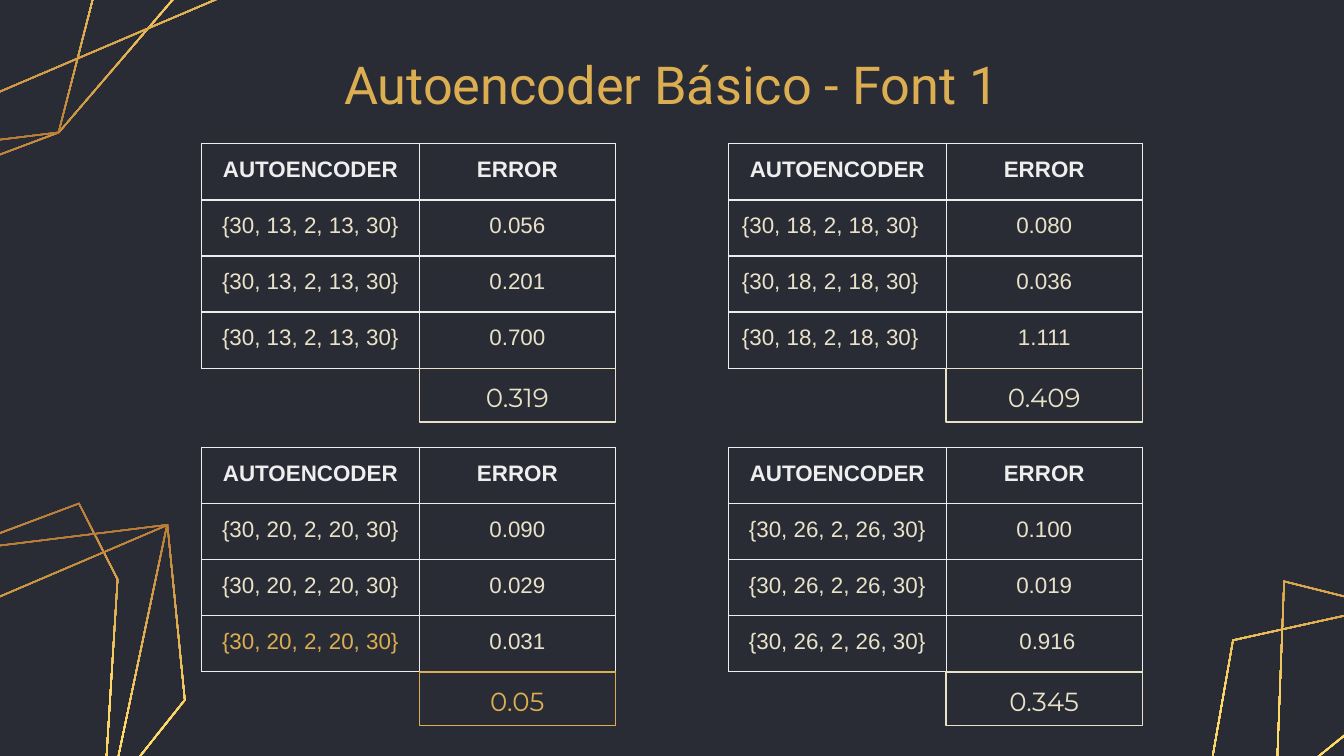
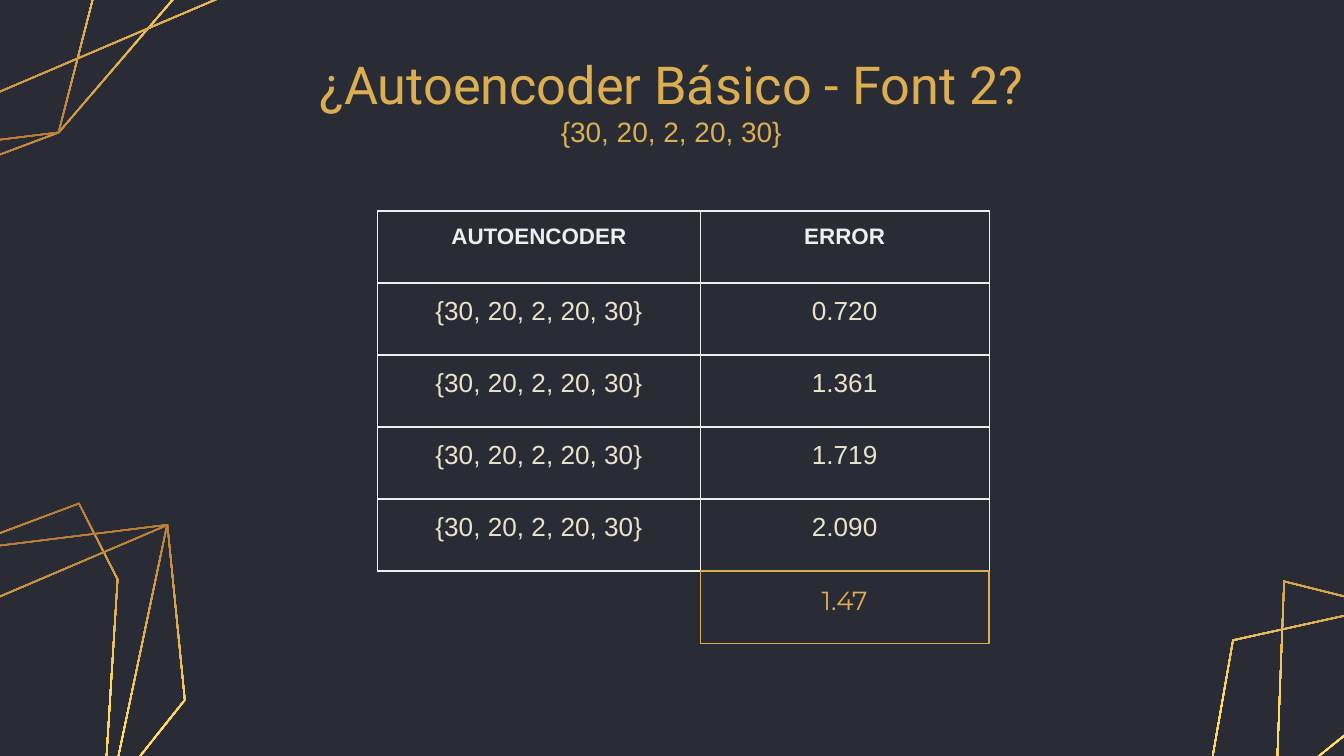
from dataclasses import dataclass
from math import hypot

from pptx import Presentation
from pptx.dml.color import RGBColor
from pptx.enum.shapes import MSO_SHAPE
from pptx.enum.text import MSO_ANCHOR, MSO_AUTO_SIZE, PP_ALIGN
from pptx.oxml import parse_xml
from pptx.oxml.ns import nsdecls, qn
from pptx.util import Inches, Pt

CENTER, LEFT = PP_ALIGN.CENTER, PP_ALIGN.LEFT
TOP, MIDDLE = MSO_ANCHOR.TOP, MSO_ANCHOR.MIDDLE
RECTANGLE = MSO_SHAPE.RECTANGLE
NO_AUTOFIT = MSO_AUTO_SIZE.NONE

COLORS = {
    "background": "292C35",
    "gold": "DCAE52",
    "bronze": "AF7132",
    "yellow": "FFDD6B",
    "white": "EEEEEE",
    "cream": "E9E2C9",
}
GRADIENT = ((0, "bronze"), (50, "yellow"), (100, "gold"))
SLIDE_WIDTH = Inches(10)
SLIDE_HEIGHT = SLIDE_WIDTH * 9 // 16
MARGIN = Inches(0.1)
LINE_WIDTH = Pt(0.75)
STROKE = 0.01

Points = list[tuple[float, float]]

LEFT_GEM: list[Points] = [
    [(-1.05, 6.76), (-1.64, 5.58), (-0.37, 4.1), (0.59, 3.74), (0.88, 4.31), (0.76, 6.23)],
    [(-0.18, 7.17), (-1.05, 6.75), (-0.37, 4.1), (1.25, 3.9), (0.76, 6.23)],
    [(-0.18, 7.17), (-1.61, 5.12), (1.25, 3.9), (1.38, 5.21)],
]
TOP_GEM: list[Points] = [[(0.07 - x, 5.09 - y) for x, y in facet] for facet in LEFT_GEM]
RIGHT_GEM: list[Points] = [
    [(8.89, 6.36), (9.17, 4.76), (11.53, 4.24), (12.75, 4.6), (12.6, 5.38), (11.06, 7.18)],
    [(9.43, 7.42), (8.89, 6.36), (11.53, 4.24), (13.28, 5.25), (11.06, 7.18)],
    [(9.43, 7.42), (9.55, 4.32), (13.28, 5.25), (12.44, 6.64)],
]


@dataclass
class Gem:
    facets: list[Points]
    angle: float


@dataclass
class ErrorTable:
    left: float
    top: float
    model: str
    errors: list[str]
    mean: str
    widths: tuple[float, float] = (1.62, 1.46)
    height: float = 1.67
    mean_height: float = 0.4
    size: int = 12
    model_align: PP_ALIGN = CENTER
    mean_color: str = "cream"
    gold_row: int = 0


@dataclass
class ErrorSlide:
    title: list[tuple[str, str, int]]
    top: float
    height: float
    bottom_margin: float
    tables: list[ErrorTable]


GEMS = [Gem(LEFT_GEM, 84.4), Gem(TOP_GEM, 264.4), Gem(RIGHT_GEM, 106)]

SLIDES = [
    ErrorSlide(
        [("Autoencoder Básico - Font 1", "Roboto", 28)], 0.39, 0.47, 0.1,
        [
            ErrorTable(1.5, 1.07, "{30, 13, 2, 13, 30}", ["0.056", "0.201", "0.700"], "0.319"),
            ErrorTable(5.42, 1.07, "{30, 18, 2, 18, 30}", ["0.080", "0.036", "1.111"], "0.409",
                       model_align=LEFT),
            ErrorTable(1.5, 3.33, "{30, 20, 2, 20, 30}", ["0.090", "0.029", "0.031"], "0.05",
                       mean_color="gold", gold_row=3),
            ErrorTable(5.42, 3.33, "{30, 26, 2, 26, 30}", ["0.100", "0.019", " 0.916"], "0.345"),
        ],
    ),
    ErrorSlide(
        [("¿Autoencoder Básico - Font 2?", "Roboto", 28), ("{30, 20, 2, 20, 30}", "Arial", 15)],
        0.59, 0.79, 0.58,
        [
            ErrorTable(2.81, 1.57, "{30, 20, 2, 20, 30}", ["0.720", "1.361", "1.719", "2.090"],
                       "1.47", widths=(2.4, 2.15), height=2.68, mean_height=0.54, size=14,
                       mean_color="gold"),
        ],
    ),
]


def rgb(color: str) -> RGBColor:
    return RGBColor.from_string(COLORS[color])


def format_paragraph(p, font: str, size: int, color: str, align=CENTER, bold=False) -> None:
    p.alignment = align
    for r in p.runs:
        r.font.name = font
        r.font.size = Pt(size)
        r.font.bold = bold
        r.font.color.rgb = rgb(color)


def set_margins(tf) -> None:
    tf.margin_left = tf.margin_right = tf.margin_top = tf.margin_bottom = MARGIN
    tf.word_wrap = True


def inset(points: Points, width: float) -> Points:
    normals = []
    for (x1, y1), (x2, y2) in zip(points, points[1:] + points[:1]):
        length = hypot(x2 - x1, y2 - y1)
        normals.append(((y1 - y2) / length, (x2 - x1) / length))
    inner = []
    for i, (x, y) in enumerate(points):
        (ax, ay), (bx, by) = normals[i - 1], normals[i]
        k = width / (1 + ax * bx + ay * by)
        inner.append((x + k * (ax + bx), y + k * (ay + by)))
    return inner


def to_emu(points: Points) -> list[tuple[int, int]]:
    return [(Inches(x), Inches(y)) for x, y in points]


def draw_facet(s, points: Points, angle: float):
    outer = to_emu(points)
    inner = to_emu(inset(points, STROKE))[::-1]
    builder = s.shapes.build_freeform(*outer[0], scale=1.0)
    builder.add_line_segments(outer[1:], close=True)
    builder.move_to(*inner[0])
    builder.add_line_segments(inner[1:], close=True)
    sp = builder.convert_to_shape()
    sp.shadow.inherit = False
    sp.line.fill.background()
    sp.fill.background()
    stops = "".join(
        f'<a:gs pos="{pos * 1000}"><a:srgbClr val="{COLORS[color]}"/></a:gs>'
        for pos, color in GRADIENT
    )
    spPr = sp.element.spPr
    spPr.replace(spPr.find(qn("a:noFill")), parse_xml(
        f'<a:gradFill {nsdecls("a")} rotWithShape="1"><a:gsLst>{stops}</a:gsLst>'
        f'<a:lin ang="{round(angle * 60000)}" scaled="0"/></a:gradFill>'
    ))
    return sp


def decorate_layout(layout, s) -> None:
    layout.background.fill.solid()
    layout.background.fill.fore_color.rgb = rgb("background")
    for gem in GEMS:
        for facet in gem.facets:
            layout.shapes.element.append(draw_facet(s, facet, gem.angle).element)


def set_title(s, spec: ErrorSlide) -> None:
    sp = s.shapes.title
    sp.left, sp.top = Inches(2.18), Inches(spec.top)
    sp.width, sp.height = Inches(5.63), Inches(spec.height)
    tf = sp.text_frame
    set_margins(tf)
    tf.margin_bottom = Inches(spec.bottom_margin)
    tf.auto_size = NO_AUTOFIT
    tf.vertical_anchor = MIDDLE
    tf.text = "\n".join(text for text, _, _ in spec.title)
    for p, (_, font, size) in zip(tf.paragraphs, spec.title):
        p.space_before = Pt(0)
        format_paragraph(p, font, size, "gold")


def format_cell(cell) -> None:
    tcPr = cell._tc.get_or_add_tcPr()
    for side in ("lnL", "lnR", "lnT", "lnB"):
        tcPr.append(parse_xml(
            f'<a:{side} {nsdecls("a")} w="{LINE_WIDTH}"><a:solidFill>'
            f'<a:srgbClr val="{COLORS["white"]}"/></a:solidFill></a:{side}>'
        ))
    cell.fill.background()
    cell.margin_left = cell.margin_right = MARGIN
    cell.margin_top = cell.margin_bottom = MARGIN
    cell.vertical_anchor = TOP


def draw_table(s, spec: ErrorTable) -> None:
    rows = [("AUTOENCODER", "ERROR")] + [(spec.model, error) for error in spec.errors]
    table = s.shapes.add_table(
        len(rows), 2, Inches(spec.left), Inches(spec.top),
        Inches(sum(spec.widths)), Inches(spec.height),
    ).table
    table.first_row = table.horz_banding = False
    for column, width in zip(table.columns, spec.widths):
        column.width = Inches(width)
    for i, row in enumerate(rows):
        for j, text in enumerate(row):
            cell = table.cell(i, j)
            format_cell(cell)
            cell.text_frame.text = text
            p = cell.text_frame.paragraphs[0]
            if i == 0:
                format_paragraph(p, "Arial", 12, "white", bold=True)
            else:
                color = "gold" if j == 0 and i == spec.gold_row else "cream"
                align = spec.model_align if j == 0 else CENTER
                format_paragraph(p, "Arial", spec.size, color, align)


def draw_mean(s, spec: ErrorTable) -> None:
    sp = s.shapes.add_shape(
        RECTANGLE, Inches(spec.left + spec.widths[0]), Inches(spec.top + spec.height),
        Inches(spec.widths[1]), Inches(spec.mean_height),
    )
    sp.shadow.inherit = False
    sp.fill.background()
    sp.line.color.rgb = rgb(spec.mean_color)
    sp.line.width = LINE_WIDTH
    tf = sp.text_frame
    set_margins(tf)
    tf.vertical_anchor = TOP
    tf.text = spec.mean
    format_paragraph(tf.paragraphs[0], "Montserrat", 14, spec.mean_color)


def main() -> None:
    prs = Presentation()
    prs.slide_width, prs.slide_height = SLIDE_WIDTH, SLIDE_HEIGHT
    layout = prs.slide_layouts.get_by_name("Title Only")
    for i, spec in enumerate(SLIDES):
        s = prs.slides.add_slide(layout)
        if i == 0:
            decorate_layout(layout, s)
        set_title(s, spec)
        for table in spec.tables:
            draw_table(s, table)
        for table in spec.tables:
            draw_mean(s, table)
    prs.save("out.pptx")


if __name__ == "__main__":
    main()
